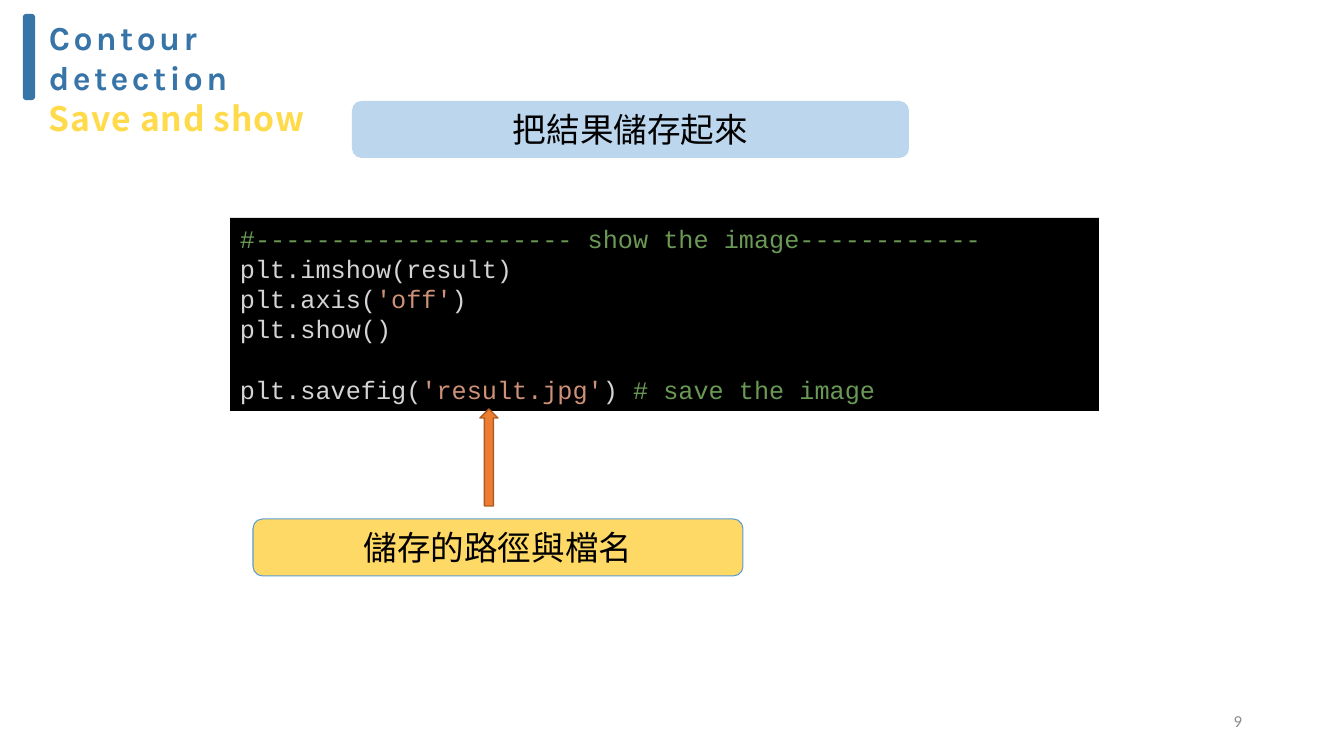
"""Build the slide on saving and showing a contour detection result."""
from dataclasses import dataclass

from lxml.etree import SubElement
from pptx import Presentation
from pptx.dml.color import RGBColor
from pptx.enum.shapes import MSO_SHAPE
from pptx.enum.text import MSO_ANCHOR, PP_ALIGN
from pptx.oxml.ns import qn
from pptx.util import Pt

PIXEL = 914400 / 100.8


@dataclass(frozen=True)
class Theme:
    heading: str = "3774A7"
    subheading: str = "FFDA4A"
    text: str = "000000"
    number: str = "8C8C8C"
    bar: str = "3775A9"
    banner: str = "BCD6ED"
    callout: str = "FFD966"
    callout_line: str = "5B9BD5"
    arrow: str = "ED7D31"
    arrow_line: str = "AF5C24"
    code_fill: str = "000000"
    code: str = "D4D4D4"
    string: str = "CE9178"
    comment: str = "6A9955"
    title_size: int = 24
    code_size: int = 18
    number_size: int = 12
    title_font: str = "Karla"
    text_font: str = "Noto Sans CJK SC"
    code_font: str = "Courier New"
    number_font: str = "Calibri"


theme = Theme()
deck = Presentation()
deck.slide_width, deck.slide_height = round(1344 * PIXEL), round(756 * PIXEL)
page = deck.slides.add_slide(deck.slide_layouts[6])


def add_box(kind, bounds, fill=None, line=None, line_width=1):
    """Add a preset shape, or a text box when kind is None."""
    place = [round(value * PIXEL) for value in bounds]
    if kind is None:
        box = page.shapes.add_textbox(*place)
    else:
        box = page.shapes.add_shape(kind, *place)
        box.shadow.inherit = False
        box.fill.solid()
        box.fill.fore_color.rgb = RGBColor.from_string(fill)
        if line:
            box.line.color.rgb = RGBColor.from_string(line)
            box.line.width = Pt(line_width)
        else:
            box.line.fill.background()
    box.text_frame.word_wrap = True
    box.text_frame.vertical_anchor = MSO_ANCHOR.TOP
    return box


def add_span(para, text, font, size, color, bold=False):
    """Append a formatted run to a paragraph."""
    span = para.add_run()
    span.text = text
    span.font.name = font
    span.font.size = Pt(size)
    span.font.bold = bold
    span.font.color.rgb = RGBColor.from_string(color)
    properties = span.font._element
    SubElement(properties, qn("a:ea")).set("typeface", font)
    return properties


number = add_box(None, (950, 701, 302, 40))
number.text_frame.vertical_anchor = MSO_ANCHOR.MIDDLE
number_para = number.text_frame.paragraphs[0]
number_para.alignment = PP_ALIGN.RIGHT
add_span(number_para, "9", theme.number_font, theme.number_size, theme.number)

title = add_box(None, (48, 16, 339, 82)).text_frame
title.margin_left = title.margin_right = title.margin_bottom = 0
title.margin_top = round(PIXEL)
title_lines = [
    ("Contour detection", theme.title_font, theme.heading, 1, 240),
    ("Save and show", theme.text_font, theme.subheading, 0.1, 60),
]
for index, (text, font, color, space, tracking) in enumerate(title_lines):
    para = title.add_paragraph() if index else title.paragraphs[0]
    para.space_before = Pt(space)
    para._p.get_or_add_pPr().set("marL", str(round(PIXEL)))
    properties = add_span(para, text, font, theme.title_size, color, True)
    properties.set("spc", str(tracking))

add_box(MSO_SHAPE.ROUNDED_RECTANGLE, (25, 16, 8, 82), theme.bar, theme.heading, 3)

code_box = add_box(MSO_SHAPE.RECTANGLE, (230, 218, 869, 193), theme.code_fill)
code_lines = [
    [("#---------------------\u00a0show\u00a0the\u00a0image------------", theme.comment)],
    [("plt.imshow(result)", theme.code)],
    [("plt.axis(", theme.code), ("'off'", theme.string), (")", theme.code)],
    [("plt.show()", theme.code)],
    [],
    [("plt.savefig(", theme.code), ("'result.jpg'", theme.string),
     (")\u00a0", theme.code), ("#\u00a0save\u00a0the\u00a0image", theme.comment)],
]
code_para = code_box.text_frame.paragraphs[0]
code_para.alignment = PP_ALIGN.LEFT
for index, spans in enumerate(code_lines):
    if index:
        code_para.add_line_break()
    for text, color in spans:
        add_span(code_para, text, theme.code_font, theme.code_size, color)

add_box(MSO_SHAPE.UP_ARROW, (480, 409, 18, 97), theme.arrow, theme.arrow_line)

labels = [
    ("把結果儲存起來", (352, 101, 557, 57), theme.banner, None),
    ("儲存的路徑與檔名", (253, 519, 490, 57), theme.callout, theme.callout_line),
]
for text, bounds, fill, line in labels:
    label = add_box(MSO_SHAPE.ROUNDED_RECTANGLE, bounds, fill, line, 0.75)
    para = label.text_frame.paragraphs[0]
    para.alignment = PP_ALIGN.CENTER
    add_span(para, text, theme.text_font, theme.title_size, theme.text)

deck.save("out.pptx")
